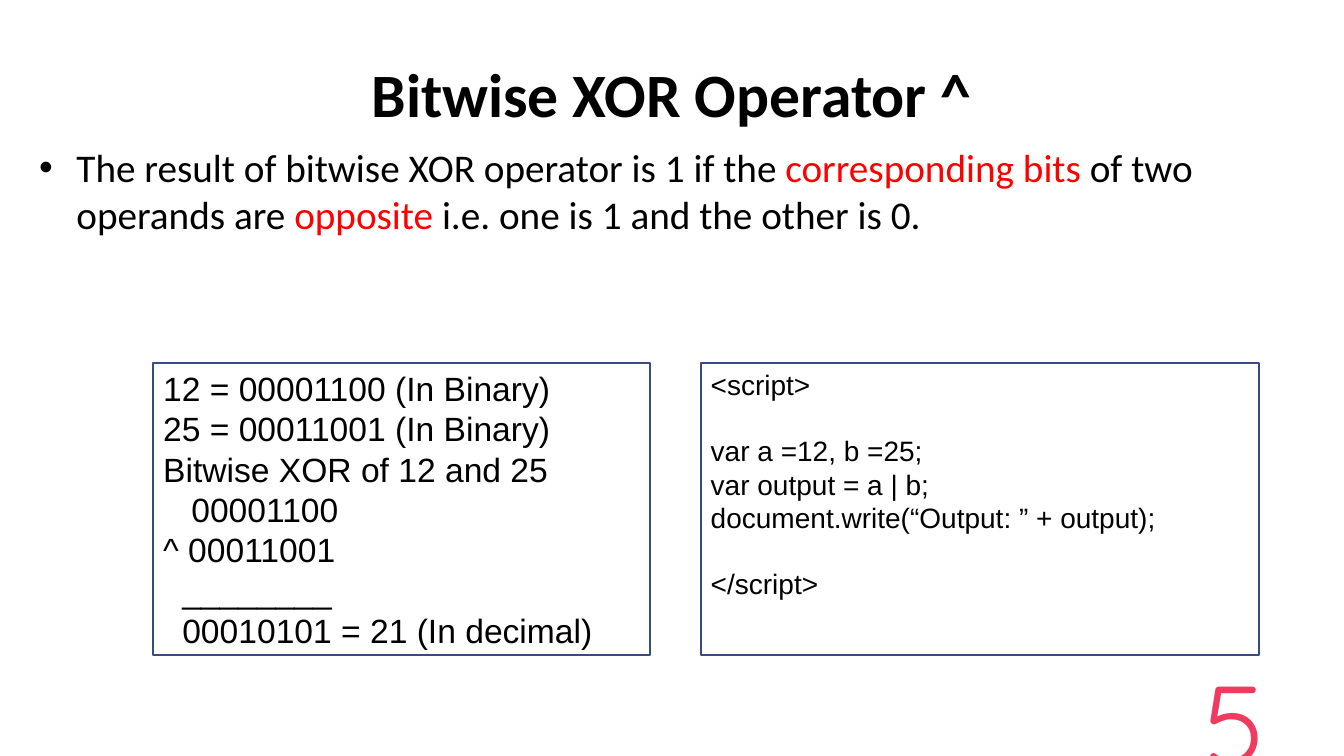
from pptx import Presentation
from pptx.dml.color import RGBColor
from pptx.enum.shapes import MSO_SHAPE
from pptx.enum.text import MSO_ANCHOR, PP_ALIGN
from pptx.oxml import parse_xml
from pptx.oxml.ns import nsdecls
from pptx.util import Inches, Pt

BLACK = RGBColor(0x00, 0x00, 0x00)
RED = RGBColor(0xFF, 0x00, 0x00)
PINK = RGBColor(0xF0, 0x3B, 0x5E)
NAVY = RGBColor(0x37, 0x4C, 0x81)

TITLE = {"name": "Calibri", "size": Pt(44), "bold": True}
BODY = {"name": "Calibri", "size": Pt(28)}
PAGE = {"name": "Quicksand", "size": Pt(80)}
SUM = {"name": "Arial", "size": Pt(24)}
CODE = {"name": "Arial", "size": Pt(20)}


def apply(item, look):
    for key, value in look.items():
        setattr(item, key, value)


class Deck:
    def __init__(self, wide, high):
        self.show = Presentation()
        apply(self.show, {"slide_width": wide, "slide_height": high})
        self.slide = self.show.slides.add_slide(self.show.slide_layouts[6])

    def place(self, left, top, width, height):
        wide, high = self.show.slide_width, self.show.slide_height
        shares = (left, wide), (top, high), (width, wide), (height, high)
        return [int(share * full / 100) for share, full in shares]

    def fill(self, shape, lines, font, anchor=MSO_ANCHOR.TOP, align=PP_ALIGN.LEFT):
        frame = shape.text_frame
        apply(frame, {"word_wrap": True, "vertical_anchor": anchor})
        for index, (runs, look, indent) in enumerate(lines):
            para = frame.add_paragraph() if index else frame.paragraphs[0]
            apply(para, {"alignment": align, **look})
            para._p.get_or_add_pPr().set("marL", str(Inches(indent)))
            for text, color in runs:
                run = para.add_run()
                run.text = text
                apply(run.font, font)
                run.font.color.rgb = color
        return frame

    def text(self, area, runs, font, **style):
        box = self.slide.shapes.add_textbox(*self.place(*area))
        return self.fill(box, [(runs, {}, 0)], font, **style)

    def bullet(self, area, runs, font):
        props = self.text(area, runs, font).paragraphs[0]._p.get_or_add_pPr()
        props.set("marL", str(Inches(0.38)))
        props.set("indent", str(Inches(-0.37)))
        for tag in (f'<a:buClr {nsdecls("a")}><a:srgbClr val="{BLACK}"/></a:buClr>',
                    f'<a:buFont {nsdecls("a")} typeface="Arial"/>',
                    f'<a:buChar {nsdecls("a")} char="\u2022"/>'):
            props.append(parse_xml(tag))

    def panel(self, left, width, lines, font):
        area = self.place(left, 48, width, 38.67)
        box = self.slide.shapes.add_shape(MSO_SHAPE.RECTANGLE, *area)
        box.shadow.inherit = False
        box.fill.background()
        box.line.color.rgb = NAVY
        box.line.width = Pt(1.5)
        rows = [([(text, BLACK)], {"space_before": Pt(gap)}, indent)
                for text, gap, indent in lines]
        self.fill(box, rows, font)


deck = Deck(Inches(13.33), Inches(7.5))

deck.text((5, 4, 90, 16.67), [("Bitwise XOR Operator ^", BLACK)], TITLE,
          anchor=MSO_ANCHOR.MIDDLE, align=PP_ALIGN.CENTER)
deck.bullet((2.1, 18.27, 95.1, 29.47), [
    ("The result of bitwise XOR operator is 1 if the ", BLACK),
    ("corresponding bits ", RED),
    ("of two operands are ", BLACK),
    ("opposite", RED),
    (" i.e. one is 1 and the other is 0.", BLACK),
], BODY)
deck.text((71.63, 92.67, 23.33, 5.33), [("5", PINK)], PAGE,
          anchor=MSO_ANCHOR.MIDDLE, align=PP_ALIGN.RIGHT)

deck.panel(11.4, 36.98, [
    ("12 = 00001100 (In Binary)", 0, 0),
    ("25 = 00011001 (In Binary)", 0, 0),
    ("Bitwise XOR of 12 and 25", 0, 0),
    ("00001100", 0, 0.28),
    ("^ 00011001", 0, 0),
    ("________", 0, 0.19),
    ("00010101 = 21 (In decimal)", 0, 0.19),
], SUM)
deck.panel(52.14, 41.56, [
    ("<script>", 0, 0),
    ("var a =12, b =25;", 23, 0),
    ("var output = a | b;", 0, 0),
    ("document.write(\u201cOutput: \u201d + output);", 0, 0),
    ("</script>", 23, 0),
], CODE)

deck.show.save("out.pptx")
